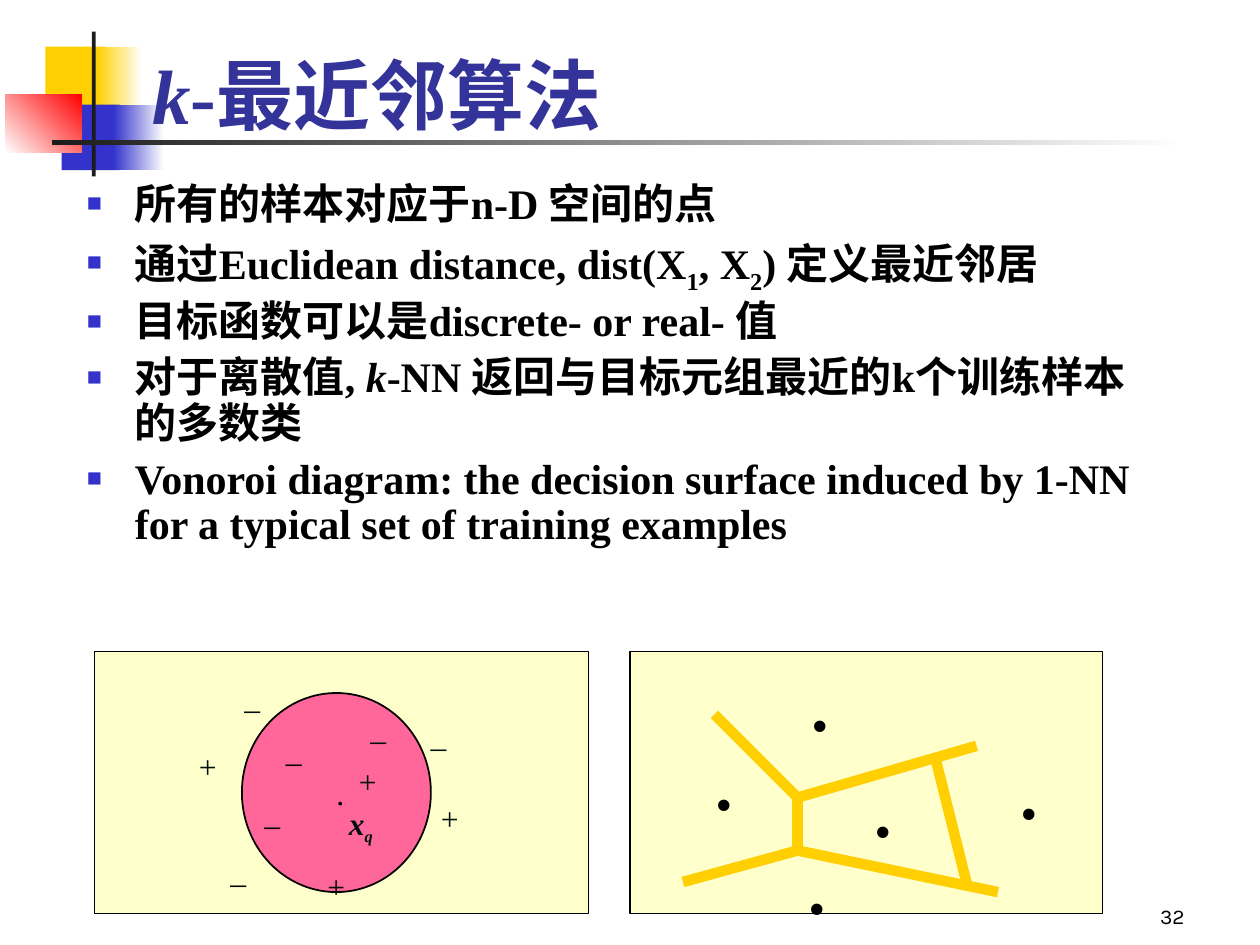
from lxml.etree import SubElement
from pptx import Presentation
from pptx.dml.color import RGBColor
from pptx.enum.shapes import MSO_CONNECTOR, MSO_SHAPE
from pptx.enum.text import MSO_ANCHOR, MSO_AUTO_SIZE, PP_ALIGN
from pptx.oxml.ns import qn
from pptx.util import Inches, Pt

HUES = {
    "gold": "FFCF01", "blue": "3333CC", "red": "FF0000", "white": "FFFFFF",
    "coal": "1C1C1C", "title": "333399", "black": "000000", "ink": "001010",
    "cream": "FFFFCC", "pink": "FF6699",
}
SERIF = "Times New Roman"
SUB = {"base": -25}


def hue(name):
    return RGBColor.from_string(HUES[name])


def inch(*nums):
    return [Inches(n) for n in nums]


def write(para, text, size=18, color="black", face=SERIF, bold=False, italic=False, base=0):
    run = para.add_run()
    run.text = text
    font = run.font
    font.size, font.name, font.bold, font.italic = Pt(size), face, bold, italic
    font.color.rgb = hue(color)
    if base:
        run._r.get_or_add_rPr().set("baseline", str(base * 1000))


def label(slide, box, text, **style):
    frame = slide.shapes.add_textbox(*inch(*box)).text_frame
    frame.word_wrap = False
    frame.auto_size = MSO_AUTO_SIZE.SHAPE_TO_FIT_TEXT
    write(frame.paragraphs[0], text, **style)
    return frame


def block(slide, box, color, end=None, angle=0, kind=MSO_SHAPE.RECTANGLE, edge=False):
    shape = slide.shapes.add_shape(kind, *inch(*box))
    shape.shadow.inherit = False
    if end:
        shape.fill.gradient()
        shape.fill.gradient_angle = angle
        for stop, name in zip(shape.fill.gradient_stops, (color, end)):
            stop.color.rgb = hue(name)
    else:
        shape.fill.solid()
        shape.fill.fore_color.rgb = hue(color)
    if edge:
        shape.line.color.rgb = hue("black")
        shape.line.width = Pt(1)
    else:
        shape.line.fill.background()
    return shape


def motif(slide, left, top):
    parts = [
        ((0.32, 0.12, 0.48, 0.52), "gold", None, 0),
        ((0.73, 0.12, 0.36, 0.52), "gold", "white", 0),
        ((0.45, 0.58, 0.46, 0.52), "blue", None, 0),
        ((0.86, 0.58, 0.4, 0.52), "blue", "white", 0),
        ((0, 0.5, 0.61, 0.46), "white", "red", 45),
        ((0.69, 0, 0.03, 1.15), "coal", None, 0),
        ((0.37, 0.86, 9, 0.04), "coal", "white", 0),
    ]
    for (x, y, wide, high), color, end, angle in parts:
        block(slide, (left + x, top + y, wide, high), color, end, angle)


def place(slide, holder, box, anchor):
    slide.shapes._spTree.append(holder._element)
    holder.left, holder.top, holder.width, holder.height = inch(*box)
    frame = holder.text_frame
    frame.word_wrap = True
    frame.auto_size = MSO_AUTO_SIZE.NONE
    frame.vertical_anchor = anchor
    return frame


def heading(slide, box):
    para = place(slide, slide.shapes.title, box, MSO_ANCHOR.MIDDLE).paragraphs[0]
    para.alignment = PP_ALIGN.LEFT
    style = {"size": 44, "color": "title", "bold": True}
    write(para, "k", italic=True, **style)
    write(para, "-最近邻算法", **style)


def bullet(para):
    props = para._p.get_or_add_pPr()
    props.set("marL", str(Inches(0.38)))
    props.set("indent", str(-Inches(0.38)))
    tint = SubElement(props, qn("a:buClr"))
    SubElement(tint, qn("a:srgbClr"), val=HUES["blue"])
    SubElement(props, qn("a:buSzPct"), val="60000")
    SubElement(props, qn("a:buChar"), char="■")


def points(slide, box):
    items = [
        [("所有的样本对应于n-D 空间的点", {})],
        [("通过Euclidean distance, dist(X", {}), ("1", SUB), (", X", {}),
         ("2", SUB), (") 定义最近邻居", {})],
        [("目标函数可以是discrete- or real- 值", {})],
        [("对于离散值, ", {}), ("k", {"italic": True}),
         ("-NN 返回与目标元组最近的k个训练样本的多数类", {})],
        [("Vonoroi diagram: the decision surface induced by 1-NN "
          "for a typical set of training examples", {})],
    ]
    frame = place(slide, slide.placeholders[1], box, MSO_ANCHOR.TOP)
    for i, runs in enumerate(items):
        para = frame.add_paragraph() if i else frame.paragraphs[0]
        bullet(para)
        para.line_spacing = 0.9
        para.space_before = Pt(6 if i else 0)
        for text, style in runs:
            write(para, text, size=24, bold=True, **style)


def query(slide, box):
    left, top = box[:2]
    block(slide, box, "cream", edge=True)
    disc = block(slide, (left + 1.17, top + 0.33, 1.5, 1.58), "pink",
                 kind=MSO_SHAPE.OVAL, edge=True)
    frame = disc.text_frame
    frame.word_wrap = False
    frame.margin_left = Inches(0.16)
    frame.vertical_anchor = MSO_ANCHOR.MIDDLE
    frame.paragraphs[0].alignment = PP_ALIGN.CENTER
    write(frame.paragraphs[0], ".")
    marks = [
        ("_", "black", 0.32, [(1.42, 0.58), (1.25, 1.08), (0.98, 1.54)]),
        ("_", "ink", 0.32, [(2.09, 0.41), (2.57, 0.46), (1.09, 0.16)]),
        ("+", "ink", 0.34, [(2, 0.83), (1.75, 1.66), (0.73, 0.71), (2.65, 1.12)]),
    ]
    for sign, color, wide, spots in marks:
        for x, y in spots:
            label(slide, (left + x, top + y, wide, 0.4), sign, color=color)
    style = {"color": "ink", "bold": True, "italic": True}
    frame = label(slide, (left + 1.92, top + 1.16, 0.39, 0.43), "x", **style)
    write(frame.paragraphs[0], "q", size=16, **SUB, **style)


def cells(slide, box):
    left, top = box[:2]
    block(slide, box, "cream", edge=True)
    high, low = (1.33, 1.16), (1.33, 1.58)
    edges = [
        ((0.67, 0.5), high), (high, (2.75, 0.75)), (high, low),
        (low, (2.92, 1.91)), (low, (0.42, 1.83)), ((2.42, 0.83), (2.67, 1.83)),
    ]
    for (ax, ay), (bx, by) in edges:
        ends = inch(left + ax, top + ay, left + bx, top + by)
        line = slide.shapes.add_connector(MSO_CONNECTOR.STRAIGHT, *ends)
        line.line.color.rgb = hue("gold")
        line.line.width = Pt(6)
        SubElement(line._element.spPr, qn("a:effectLst"))
    for x, y in [(1.34, 0.03), (1.84, 0.87), (1.32, 1.48), (0.58, 0.66), (3, 0.73)]:
        label(slide, (left + x, top + y, 0.34, 0.77), ".", size=40, bold=True)


def number(slide, box):
    frame = label(slide, box, "32", size=12, face="Karla")
    frame.word_wrap = True
    frame.auto_size = MSO_AUTO_SIZE.NONE
    frame.vertical_anchor = MSO_ANCHOR.BOTTOM
    frame.paragraphs[0].alignment = PP_ALIGN.RIGHT


def main():
    deck = Presentation()
    deck.slide_width, deck.slide_height = inch(10, 7.5)
    slide = deck.slides.add_slide(deck.slide_layouts[1])
    motif(slide, 0.04, 0.25)
    number(slide, (7.42, 6.92, 2.08, 0.5))
    heading(slide, (1.11, 0.52, 8.94, 0.44))
    points(slide, (0.59, 1.4, 8.67, 5.83))
    query(slide, (0.75, 5.17, 3.92, 2.08))
    cells(slide, (5, 5.17, 3.75, 2.08))
    deck.save("out.pptx")


if __name__ == "__main__":
    main()
